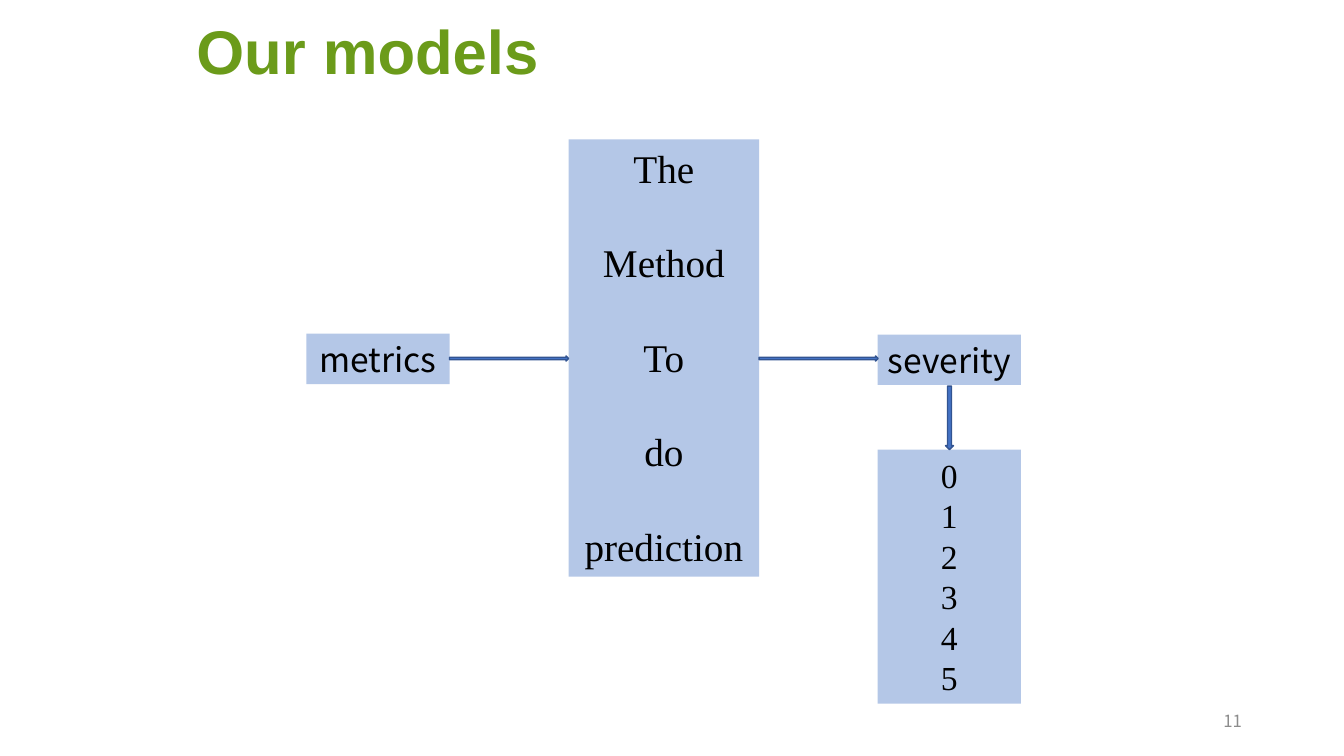
"""Build the "Our models" slide: metrics feed a method that predicts severity."""
import pptx
import pptx.dml.color
import pptx.enum.shapes
import pptx.enum.text
import pptx.util

Cm, Pt = pptx.util.Cm, pptx.util.Pt
SHAPE = pptx.enum.shapes.MSO_SHAPE
ALIGN = pptx.enum.text.PP_ALIGN
ANCHOR = pptx.enum.text.MSO_ANCHOR


def color(hex_code):
    return pptx.dml.color.RGBColor.from_string(hex_code)


def write(shape, text, size, font, ink="000000", bold=False, align=ALIGN.CENTER,
          anchor=ANCHOR.TOP, pitch=None, gap=0):
    frame = shape.text_frame
    frame.word_wrap = True
    frame.vertical_anchor = anchor
    frame.text = text
    for index, paragraph in enumerate(frame.paragraphs):
        paragraph.alignment = align
        paragraph.line_spacing = Pt(pitch) if pitch else None
        paragraph.space_before = Pt(gap if index else 0)
        paragraph.font.size = Pt(size)
        paragraph.font.bold = bold
        paragraph.font.color.rgb = color(ink)
        for run in paragraph.runs:
            run.font.name = font


deck = pptx.Presentation()
deck.slide_width, deck.slide_height = Cm(33.87), Cm(19.05)
slide = deck.slides.add_slide(deck.slide_layouts[6])

sans = {"size": 24, "font": "Noto Sans CJK SC", "anchor": ANCHOR.MIDDLE}
serif = "Times New Roman"
stages = [
    ("metrics", (7.72, 8.41, 3.61, 1.27), sans),
    ("severity", (22.12, 8.43, 3.61, 1.27), sans),
    ("The\nMethod\nTo\ndo\nprediction", (14.33, 3.51, 4.8, 11.02),
     {"size": 28, "font": serif, "pitch": 33.7, "gap": 33.7}),
    ("\n".join(str(level) for level in range(6)), (22.12, 11.33, 3.61, 6.4),
     {"size": 24, "font": serif, "pitch": 28.9}),
]
for text, place, style in stages:
    stage = slide.shapes.add_shape(SHAPE.RECTANGLE, *map(Cm, place))
    stage.shadow.inherit = False
    stage.fill.solid()
    stage.fill.fore_color.rgb = color("B4C7E7")
    stage.line.fill.background()
    write(stage, text, **style)

flows = [
    (SHAPE.RIGHT_ARROW, (11.33, 8.97, 3, 0.13)),
    (SHAPE.RIGHT_ARROW, (19.13, 8.97, 3, 0.13)),
    (SHAPE.DOWN_ARROW, (23.83, 9.73, 0.2, 1.6)),
]
for direction, place in flows:
    flow = slide.shapes.add_shape(direction, *map(Cm, place))
    flow.shadow.inherit = False
    flow.fill.solid()
    flow.fill.fore_color.rgb = color("4472C4")
    flow.line.color.rgb = color("325491")
    flow.line.width = Pt(1)

page_number = slide.shapes.add_textbox(Cm(23.93), Cm(17.65), Cm(7.62), Cm(1.02))
write(page_number, "11", 12, "Noto Sans CJK SC", ink="8C8C8C",
      align=ALIGN.RIGHT, anchor=ANCHOR.MIDDLE)

title = slide.shapes.add_textbox(Cm(4.7), Cm(0.2), Cm(21.21), Cm(2.13))
write(title, "Our models", 44, "Arial", ink="6B9B1A", bold=True, align=ALIGN.LEFT)

deck.save("out.pptx")
